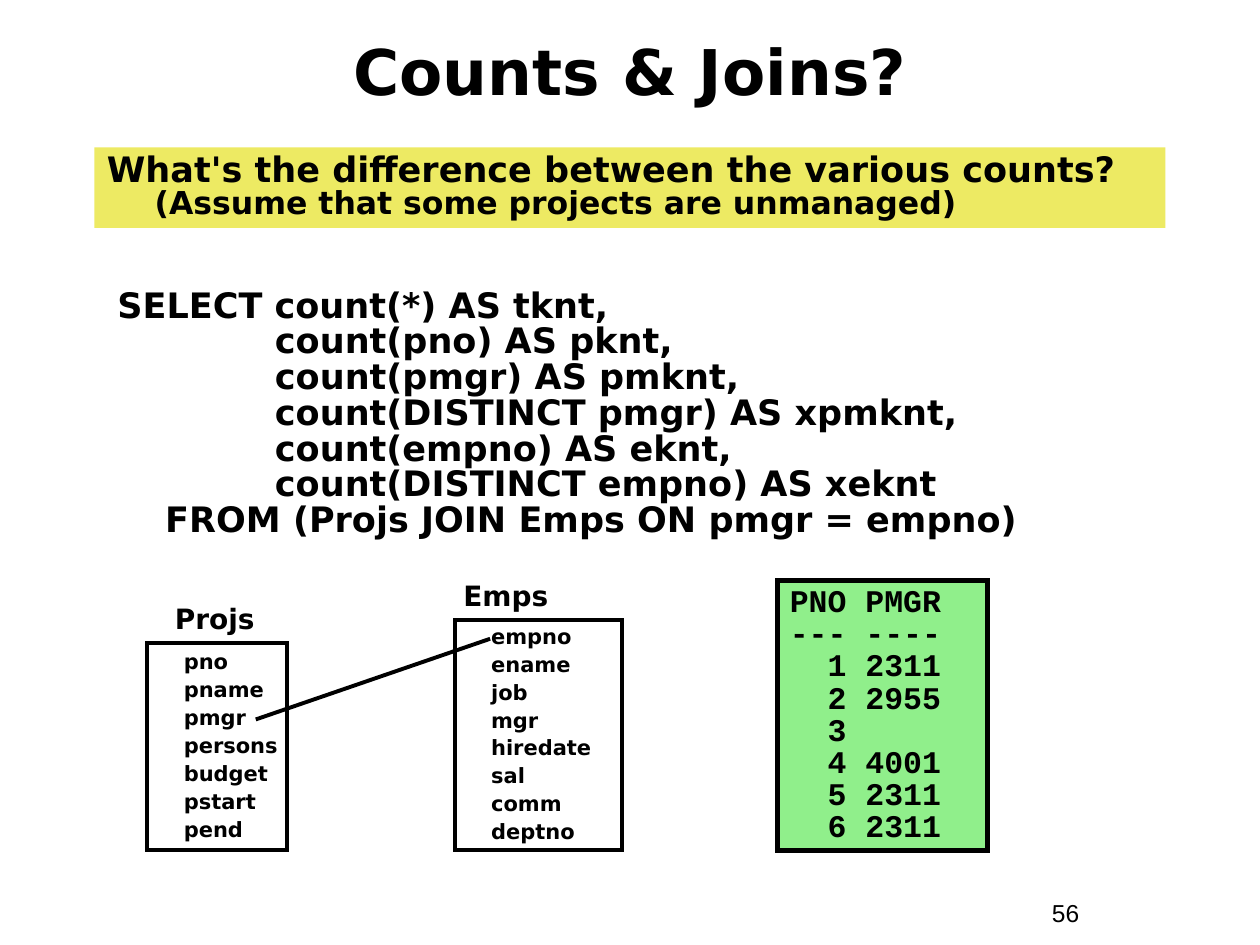
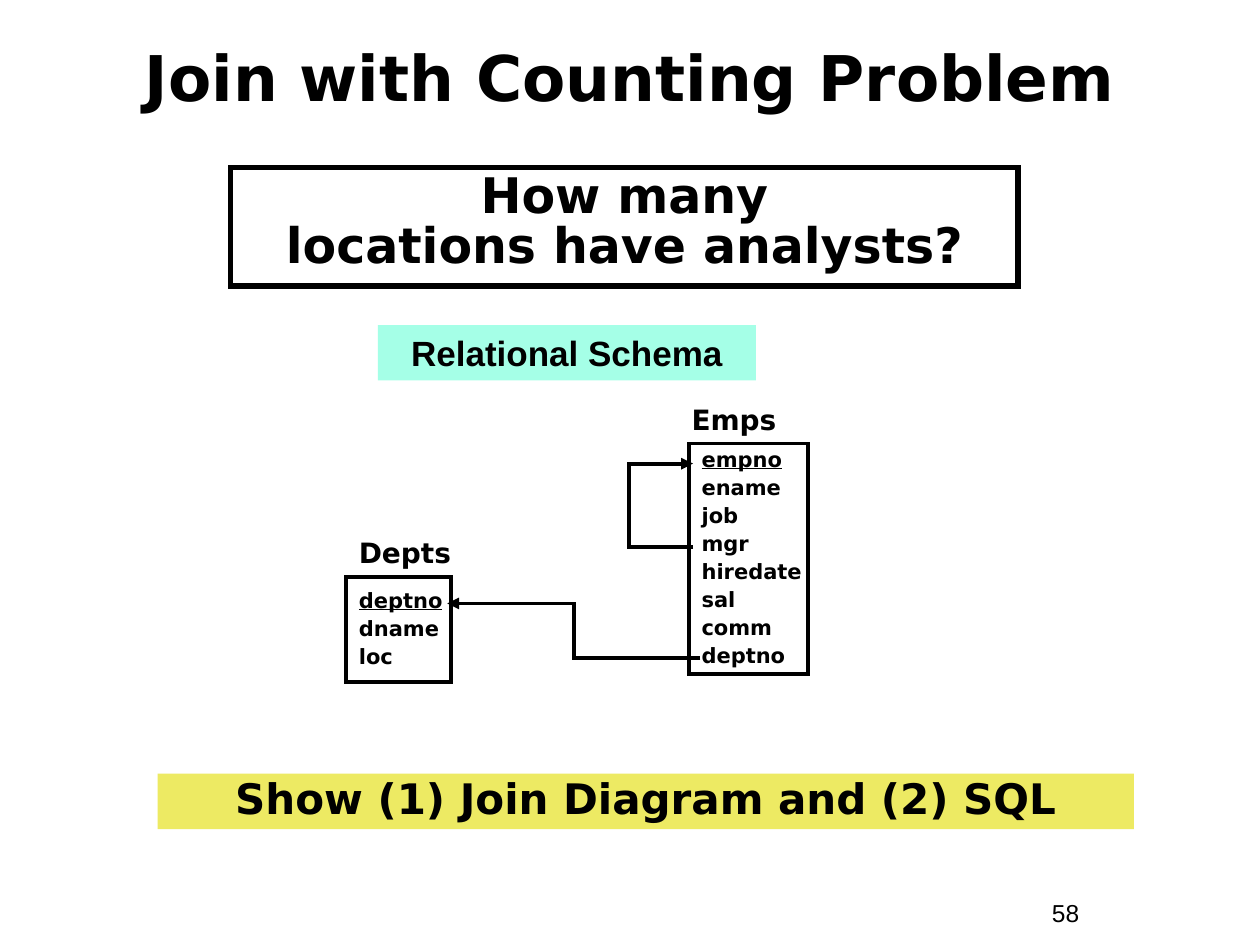
"""Build two slides on counting rows across joins, with a shared style."""
from dataclasses import dataclass, replace

from lxml.etree import SubElement
from pptx import Presentation
from pptx.dml.color import RGBColor
from pptx.enum.shapes import MSO_CONNECTOR as Connector, MSO_SHAPE as Preset
from pptx.enum.text import MSO_ANCHOR as Anchor, PP_ALIGN as Align
from pptx.oxml.ns import qn
from pptx.util import Inches, Pt

BLACK, YELLOW, GREEN, AQUA = "000000", "EDEA63", "90EF8B", "A5FFE7"
SANS, PLAIN, MONO = "DejaVu Sans", "Arial", "Courier New"
COLUMNS, ROWS = 100, 75


def color(value):
    return RGBColor.from_string(value)


@dataclass(frozen=True)
class Style:
    size: float
    font: str = SANS
    bold: bool = True
    align: Align = Align.LEFT
    anchor: Anchor = Anchor.TOP
    spacing: float = 1.0
    before: float = 0
    margin: float = 0
    hanging: float = 0


TITLE = Style(36, align=Align.CENTER, anchor=Anchor.MIDDLE)
NUMBER = Style(14, PLAIN, bold=False)
PROSE = Style(20, spacing=0.85, margin=0.38, hanging=0.38)
PROMPT = Style(28, align=Align.CENTER, spacing=0.85)
CAPTION = Style(16, spacing=0.9)
FIELD = Style(12, anchor=Anchor.MIDDLE, spacing=0.9, before=3)
LISTING = Style(18, MONO, spacing=0.85)
HEADING = Style(20, PLAIN, align=Align.CENTER)


class Deck:
    def __init__(self):
        self.file = Presentation()
        self.file.slide_width, self.file.slide_height = Inches(10), Inches(7.5)
        self.slide = None

    def x(self, columns):
        return round(self.file.slide_width * columns / COLUMNS)

    def y(self, rows):
        return round(self.file.slide_height * rows / ROWS)

    def box(self, left, top, width, height):
        return self.x(left), self.y(top), self.x(width), self.y(height)

    def page(self, number, title, top, height, spacing=1.0):
        self.slide = self.file.slides.add_slide(self.file.slide_layouts[6])
        self.text((82.5, 70.8, 9.2, 3.4), [[number]], NUMBER)
        self.text((3.33, top, 93.33, height), [[title]], replace(TITLE, spacing=spacing))

    def typeset(self, frame, paragraphs, style):
        frame.word_wrap = True
        frame.vertical_anchor = style.anchor
        for index, runs in enumerate(paragraphs):
            paragraph = frame.add_paragraph() if index else frame.paragraphs[0]
            paragraph.alignment = style.align
            paragraph.line_spacing = style.spacing
            paragraph.space_before = Pt(style.before if index else 0)
            properties = paragraph._p.get_or_add_pPr()
            properties.set("marL", str(Inches(style.margin)))
            properties.set("indent", str(-Inches(style.hanging)))
            for run in runs:
                wording, size, underline = run if isinstance(run, tuple) else (run, style.size, False)
                for row, line in enumerate(wording.split("\n")):
                    if row:
                        paragraph.add_line_break()
                    if line:
                        self.add_wording(paragraph, line, style, size, underline)

    def add_wording(self, paragraph, wording, style, size, underline):
        run = paragraph.add_run()
        run.text = wording
        run.font.name, run.font.size = style.font, Pt(size)
        run.font.bold = style.bold
        run.font.color.rgb = color(BLACK)
        if underline:
            run.font.underline = True

    def text(self, place, paragraphs, style):
        self.typeset(self.slide.shapes.add_textbox(*self.box(*place)).text_frame, paragraphs, style)

    def stroke(self, shape, width, arrow=False):
        shape.line.color.rgb = color(BLACK)
        shape.line.width = Pt(width)
        line = shape._element.spPr.get_or_add_ln()
        SubElement(line, qn("a:miter"), lim="800000")
        if arrow:
            SubElement(line, qn("a:tailEnd"), type="triangle")

    def panel(self, place, paragraphs, style, fill=None, border=0):
        panel = self.slide.shapes.add_shape(Preset.RECTANGLE, *self.box(*place))
        panel.shadow.inherit = False
        if fill:
            panel.fill.solid()
            panel.fill.fore_color.rgb = color(fill)
        else:
            panel.fill.background()
        if border:
            self.stroke(panel, border)
        else:
            panel.line.fill.background()
        self.typeset(panel.text_frame, paragraphs, style)
        return panel

    def entity(self, name, place, fields, caption_shift, margin=0, key=None):
        left, top = place[:2]
        self.text((left + caption_shift, top - 3.45, 13.6, 3.4), [[name]], CAPTION)
        rows = [[(field, FIELD.size, field == key)] for field in fields.split()]
        panel = self.panel(place, rows, replace(FIELD, margin=margin), border=2.25)
        panel.text_frame.margin_right = 0

    def link(self, start, end, kind=Connector.STRAIGHT, arrow=False):
        ends = [self.x(start[0]), self.y(start[1]), self.x(end[0]), self.y(end[1])]
        link = self.slide.shapes.add_connector(kind, *ends)
        self.stroke(link, 2.25, arrow)
        SubElement(link._element.spPr, qn("a:effectLst"))

    def loop(self, right, bottom, left, top):
        corners = [(left, bottom), (left, top), (right, top)]
        outline = self.slide.shapes.build_freeform(self.x(right), self.y(bottom))
        outline.add_line_segments([(self.x(x), self.y(y)) for x, y in corners], close=False)
        loop = outline.convert_to_shape()
        loop.shadow.inherit = False
        loop.fill.background()
        self.stroke(loop, 2.25, arrow=True)


EMPS = "empno ename job mgr hiredate sal comm deptno"
QUERY = """SELECT count(*) AS tknt,
         count(pno) AS pknt,
         count(pmgr) AS pmknt,
         count(DISTINCT pmgr) AS xpmknt,
         count(empno) AS eknt,
         count(DISTINCT empno) AS xeknt
FROM (Projs JOIN Emps ON pmgr = empno)"""
MANAGERS = ["2311", "2955", "", "4001", "2311", "2311"]


def counts_and_joins(deck):
    deck.page("56", "Counts & Joins?", 1, 9.2)
    deck.text((8.33, 22.5, 84.2, 20.9), [[QUERY]], PROSE)
    question = ["What's the difference between the various counts?\n",
                ("(Assume that some projects are unmanaged)", 18, False)]
    deck.panel((7.5, 11.7, 85, 6.4), [question], PROSE, YELLOW)
    deck.entity("Emps", (36.1, 49.2, 13.3, 18.3), EMPS, -0.3, margin=0.19)
    deck.entity("Projs", (11.7, 51, 11.1, 16.5),
                "pno pname pmgr persons budget pstart pend", 1.2, margin=0.19)
    deck.link((38.9, 50.7), (20.3, 57.1))
    rows = [f"{pno:>3} {pmgr}".rstrip() for pno, pmgr in enumerate(MANAGERS, 1)]
    listing = [[row] for row in ["PNO PMGR", "--- ----", *rows]]
    deck.panel((61.7, 46.1, 16.7, 21.4), listing, LISTING, GREEN, border=3)


def join_with_counting(deck):
    deck.page("58", "Join with Counting Problem", 3.3, 6.7, spacing=0.8)
    deck.panel((18.3, 13.3, 62.5, 9.4), [["How many\nlocations have analysts?"]], PROMPT, border=3)
    deck.panel((30, 25.8, 30, 4.4), [["Relational Schema"]], HEADING, AQUA)
    deck.entity("Emps", (54.7, 35.2, 9.4, 18.3), EMPS, -0.8, key="empno")
    deck.entity("Depts", (27.5, 45.8, 8.3, 8.3), "deptno dname loc", 0, key="deptno")
    deck.loop(55, 43.4, 49.9, 36.8)
    deck.link((55.6, 52.2), (35.5, 47.9), Connector.ELBOW, arrow=True)
    deck.panel((12.5, 61.4, 77.5, 4.4), [["Show (1) Join Diagram and (2) SQL"]],
               replace(PROMPT, size=24), YELLOW)


def main():
    deck = Deck()
    counts_and_joins(deck)
    join_with_counting(deck)
    deck.file.save("out.pptx")


if __name__ == "__main__":
    main()
